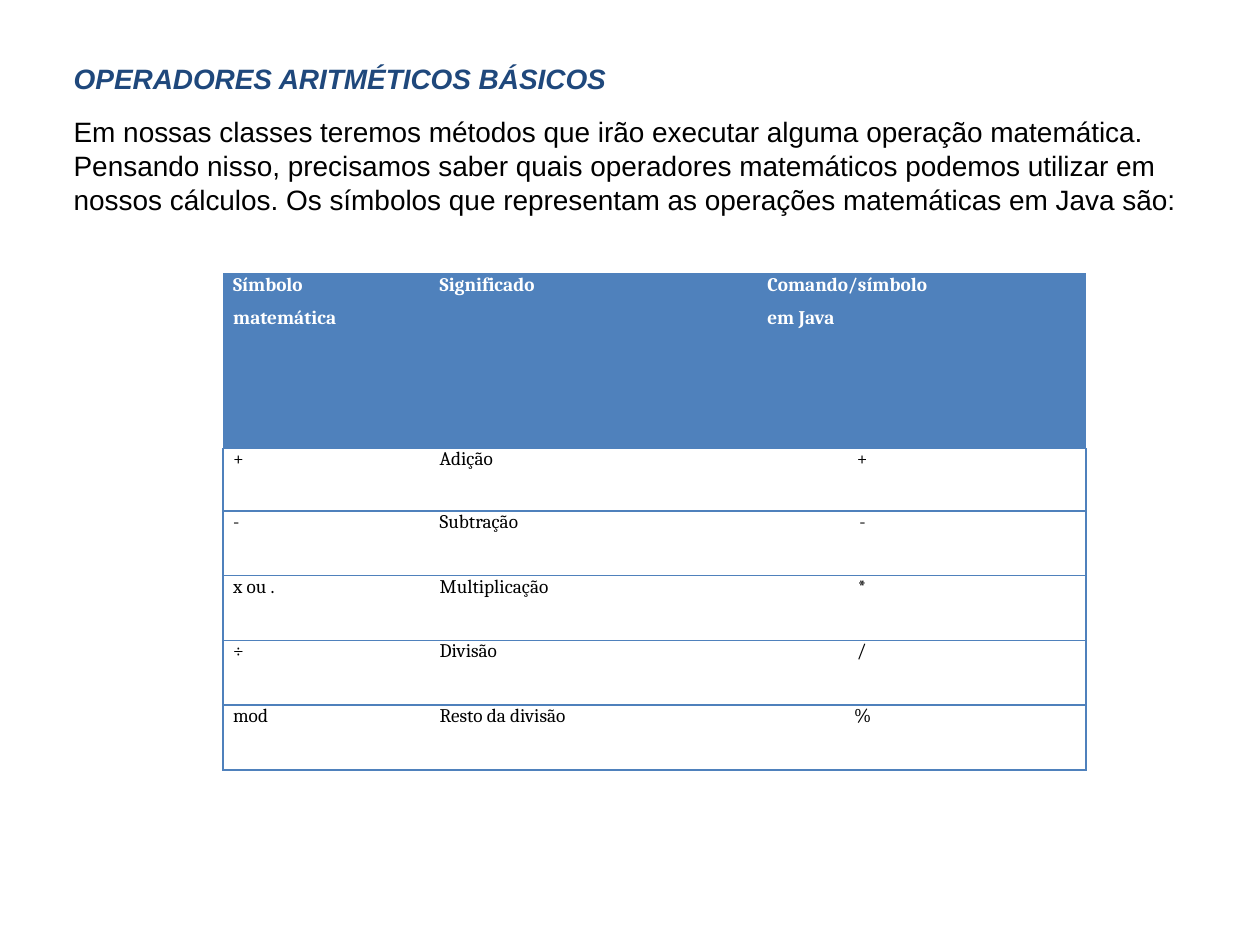
from pptx import Presentation
from pptx.dml.color import RGBColor
from pptx.enum.text import MSO_ANCHOR, PP_ALIGN
from pptx.oxml.ns import qn
from pptx.util import Inches, Pt
from lxml import etree

TOP, LEFT = MSO_ANCHOR.TOP, PP_ALIGN.LEFT
NAVY = RGBColor(0x1F, 0x48, 0x7C)
BLUE = RGBColor(0x4F, 0x81, 0xBC)
BLACK = RGBColor(0, 0, 0)
WHITE = RGBColor(0xFF, 0xFF, 0xFF)

WIDE, TALL = Inches(10), Inches(7.5)
TITLE_FONT = {"name": "Arial", "size": Pt(16), "bold": True, "italic": True}
BODY_FONT = {"name": "Arial", "size": Pt(16), "bold": False}
HEAD_FONT = {"name": "Cambria", "size": Pt(11), "bold": True}
CELL_FONT = {"name": "Cambria", "size": Pt(11), "bold": False}
FRAME = {"margin_left": 0, "margin_right": 0, "margin_top": 0,
         "margin_bottom": 0, "vertical_anchor": TOP}

TITLE = "OPERADORES ARITMÉTICOS BÁSICOS"
INTRO = ("Em nossas classes teremos métodos que irão executar alguma operação "
         "matemática. Pensando nisso, precisamos saber quais operadores "
         "matemáticos podemos utilizar em nossos cálculos. Os símbolos que "
         "representam as operações matemáticas em Java são:")
HEADS = [("Símbolo", "matemática"), ("Significado",), ("Comando/símbolo", "em Java")]
HEAD_DENTS = (0.08, 0, 0.24)
# Symbol, meaning, Java symbol, indent of the Java symbol, line pitch
ROWS = [
    ("+", "Adição", "+", 0.95, Pt(12.2)),
    ("-", "Subtração", "-", 0.97, Pt(12.8)),
    ("x ou .", "Multiplicação", "*", 0.96, None),
    ("÷", "Divisão", "/", 0.95, None),
    ("mod", "Resto da divisão", "%", 0.93, None),
]
COLS = (17.2, 23.6, 27.7)
HEIGHTS = (18.47, 6.61) + (6.85,) * 4


def across(share):
    """Turn a percentage of the slide's width into a length."""
    return int(WIDE * share / 100)


def down(share):
    """Turn a percentage of the slide's height into a length."""
    return int(TALL * share / 100)


def assign(item, values):
    """Set each attribute named in a dict."""
    for name, value in values.items():
        setattr(item, name, value)


def write(para, text, font, color, **layout):
    """Put one formatted run in a paragraph."""
    run = para.add_run()
    run.text = text
    assign(run.font, font)
    run.font.color.rgb = color
    assign(para, {"alignment": LEFT, **layout})


def place(shape, left, top, width, height):
    """Set a shape's box from shares of the slide."""
    assign(shape, {"left": across(left), "top": down(top),
                   "width": across(width), "height": down(height)})


def add_text(shape, text, font, color, **layout):
    """Fill a text shape with one wrapped paragraph."""
    frame = shape.text_frame
    assign(frame, {**FRAME, "word_wrap": True})
    write(frame.paragraphs[0], text, font, color, **layout)


def edge_cell(cell, sides):
    """Draw the named sides of a cell and clear the others."""
    props = cell._tc.get_or_add_tcPr()
    for side in "LRTB":
        line = etree.SubElement(props, qn("a:ln" + side), w=str(Pt(1)))
        if side in sides:
            fill = etree.SubElement(line, qn("a:solidFill"))
            etree.SubElement(fill, qn("a:srgbClr"), val=str(BLUE))
        else:
            etree.SubElement(line, qn("a:noFill"))


def fill_cell(cell, lines, font, color, back, sides, dent, gaps, pitch=None):
    """Write a cell's lines and set its edges and fill."""
    assign(cell, FRAME)
    edge_cell(cell, sides)
    cell.fill.solid()
    cell.fill.fore_color.rgb = back
    frame = cell.text_frame
    for n, text in enumerate(lines):
        para = frame.add_paragraph() if n else frame.paragraphs[0]
        write(para, text, font, color, space_before=Pt(gaps[n]), line_spacing=pitch)
        para._p.get_or_add_pPr().set("marL", str(Inches(dent)))


def add_grid(slide):
    """Add the table of operators."""
    shape = slide.shapes.add_table(
        len(HEIGHTS), len(COLS), across(17.7), down(29), across(sum(COLS)),
        down(sum(HEIGHTS)))
    table = shape.table
    assign(table, {"first_row": False, "horz_banding": False})
    for col, share in zip(table.columns, COLS):
        col.width = across(share)
    for row, share in zip(table.rows, HEIGHTS):
        row.height = down(share)
    for c, lines in enumerate(HEADS):
        fill_cell(table.cell(0, c), lines, HEAD_FONT, WHITE, BLUE, "TB",
                  HEAD_DENTS[c], (0.9, 6.4))
    for r, (sign, sense, code, dent, pitch) in enumerate(ROWS, 1):
        cells = ((sign, "LTB", 0.08), (sense, "TB", 0), (code, "RTB", dent))
        for c, (text, sides, inset) in enumerate(cells):
            fill_cell(table.cell(r, c), (text,), CELL_FONT, BLACK, WHITE,
                      sides, inset, (0,), pitch)


def main():
    """Build the slide and save it."""
    deck = Presentation()
    assign(deck, {"slide_width": WIDE, "slide_height": TALL})
    slide = deck.slides.add_slide(deck.slide_layouts[5])
    title = slide.shapes.title
    place(title, 5.85, 6.5, 91, 3.6)
    add_text(title, TITLE, TITLE_FONT, NAVY)
    intro = slide.shapes.add_textbox(0, 0, 0, 0)
    place(intro, 5.85, 12.1, 91, 11)
    add_text(intro, INTRO, BODY_FONT, BLACK, line_spacing=Pt(19.4))
    add_grid(slide)
    deck.save("out.pptx")


main()
